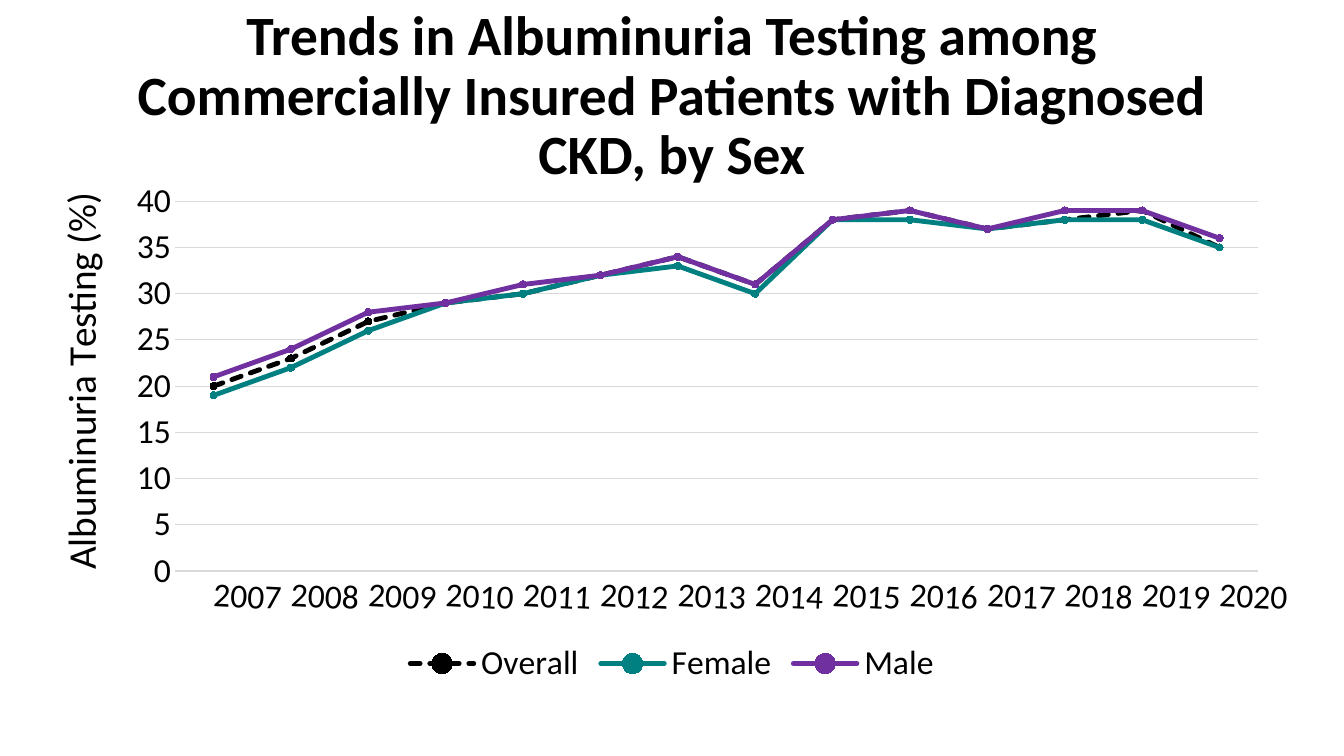
from dataclasses import dataclass

from pptx import Presentation, util as u
from pptx.chart.data import CategoryChartData
from pptx.dml.color import RGBColor
from pptx.enum import chart as charts, dml, text
from pptx.oxml import parse_xml
from pptx.oxml.ns import nsdecls, qn

EMU_PER_PX = 9525


def px(count):
    return u.Emu(count * EMU_PER_PX)


@dataclass(frozen=True)
class Theme:
    font: str = "Calibri"
    ink: str = "000000"
    grid: str = "D9D9D9"
    overall: str = "000000"
    female: str = "008080"
    male: str = "7030A0"
    title_size: float = 39.6
    axis_title_size: int = 28
    label_size: int = 24
    grid_width: float = 0.75
    series_width: float = 3.5
    marker_size: int = 5


def style_font(font, name, size, color, bold=False):
    font.name, font.size, font.bold = name, u.Pt(size), bold
    font.color.rgb = RGBColor.from_string(color)


def write(frame, wording, *, font, size, color, bold=False, align=None, spacing=None):
    para = frame.paragraphs[0]
    para.alignment, para.line_spacing = align, spacing
    span = para.add_run()
    span.text = wording
    style_font(span.font, font, size, color, bold)


def style_line(line, color, width):
    line.color.rgb = RGBColor.from_string(color)
    line.width = u.Pt(width)


def manual_layout(target=None, **fractions):
    """Return a chart layout element with x, y and optional w, h fractions."""
    inner = f'<c:layoutTarget val="{target}"/>' if target else ""
    modes = "".join(f'<c:{key}Mode val="edge"/>' for key in "xy")
    places = "".join(f'<c:{key} val="{val}"/>' for key, val in fractions.items())
    return parse_xml(f'<c:layout {nsdecls("c")}><c:manualLayout>'
                     f'{inner}{modes}{places}</c:manualLayout></c:layout>')


def drop_layout(parent):
    for layout in parent.findall(qn("c:layout")):
        parent.remove(layout)


class SlideBuilder:
    def __init__(self, page, theme):
        self.page, self.theme = page, theme

    def title(self, wording, left, top, width, height):
        box = self.page.shapes.add_textbox(px(left), px(top), px(width), px(height))
        frame = box.text_frame
        frame.word_wrap = True
        frame.vertical_anchor = text.MSO_ANCHOR.MIDDLE
        write(frame, wording, font=self.theme.font, size=self.theme.title_size,
              color=self.theme.ink, bold=True, align=text.PP_ALIGN.CENTER, spacing=0.9)

    def line_chart(self, years, groups, axis_title, left, top, width, height):
        data = CategoryChartData(number_format="0")
        data.categories = years
        for name, values, _, _ in groups:
            data.add_series(name, values)
        chart = self.page.shapes.add_chart(
            charts.XL_CHART_TYPE.LINE_MARKERS, px(left), px(top), px(width), px(height), data
        ).chart
        theme = self.theme
        style_font(chart.font, theme.font, theme.label_size, theme.ink)
        chart.has_title = False
        chart.has_legend = True
        chart.legend.position = charts.XL_LEGEND_POSITION.BOTTOM
        chart.legend.include_in_layout = False
        style_font(chart.legend.font, theme.font, theme.label_size, theme.ink)
        self.axes(chart, axis_title)
        chart.plots[0].vary_by_categories = False
        for series, (_, _, color, dash) in zip(chart.plots[0].series, groups):
            self.series(series, color, dash)
        for line in chart.element.xpath(".//c:ser/c:spPr/a:ln"):
            line.set("cap", "rnd")
        plot_area = chart.element.xpath("c:chart/c:plotArea")[0]
        drop_layout(plot_area)
        plot_area.insert(0, manual_layout("inner", x=0.11, y=0.06, w=0.85, h=0.71))

    def axes(self, chart, axis_title):
        theme = self.theme
        years, percent = chart.category_axis, chart.value_axis
        for axis in (years, percent):
            axis.major_tick_mark = axis.minor_tick_mark = charts.XL_TICK_MARK.NONE
            style_font(axis.tick_labels.font, theme.font, theme.label_size, theme.ink)
        years.has_major_gridlines = False
        style_line(years.format.line, theme.grid, theme.grid_width)
        slant = chart.element.xpath(".//c:catAx/c:txPr/a:bodyPr")[0]
        slant.set("rot", "180000")
        slant.set("vert", "horz")

        percent.minimum_scale, percent.maximum_scale, percent.major_unit = 0, 40, 5
        percent.tick_labels.number_format = "0"
        percent.tick_labels.number_format_is_linked = False
        percent.format.line.fill.background()
        percent.has_major_gridlines = True
        style_line(percent.major_gridlines.format.line, theme.grid, theme.grid_width)
        write(percent.axis_title.text_frame, axis_title, font=theme.font,
              size=theme.axis_title_size, color=theme.ink)
        title = chart.element.xpath(".//c:valAx/c:title")[0]
        upright = title.xpath("c:tx/c:rich/a:bodyPr")[0]
        upright.set("rot", "-5400000")
        upright.set("vert", "horz")
        drop_layout(title)
        title.find(qn("c:tx")).addnext(manual_layout(x=0.01, y=0.03))

    def series(self, series, color, dash):
        series.smooth = False
        style_line(series.format.line, color, self.theme.series_width)
        if dash:
            series.format.line.dash_style = dash
        marker = series.marker
        marker.style = charts.XL_MARKER_STYLE.CIRCLE
        marker.size = self.theme.marker_size
        marker.format.fill.solid()
        marker.format.fill.fore_color.rgb = RGBColor.from_string(color)
        style_line(marker.format.line, color, self.theme.grid_width)


def main():
    deck = Presentation()
    deck.slide_width, deck.slide_height = px(1280), px(720)
    theme = Theme()
    builder = SlideBuilder(deck.slides.add_slide(deck.slide_layouts[6]), theme)
    builder.title("Trends in Albuminuria Testing among Commercially Insured "
                  "Patients with Diagnosed CKD, by Sex", 88, 23, 1104, 139)
    groups = [
        ("Overall", (20, 23, 27, 29, 30, 32, 34, 31, 38, 39, 37, 38, 39, 35),
         theme.overall, dml.MSO_LINE.SQUARE_DOT),
        ("Female", (19, 22, 26, 29, 30, 32, 33, 30, 38, 38, 37, 38, 38, 35),
         theme.female, None),
        ("Male", (21, 24, 28, 29, 31, 32, 34, 31, 38, 39, 37, 39, 39, 36),
         theme.male, None),
    ]
    years = [str(year) for year in range(2007, 2021)]
    builder.line_chart(years, groups, "Albuminuria Testing (%)", 33, 162, 1214, 496)
    deck.save("out.pptx")


if __name__ == "__main__":
    main()
